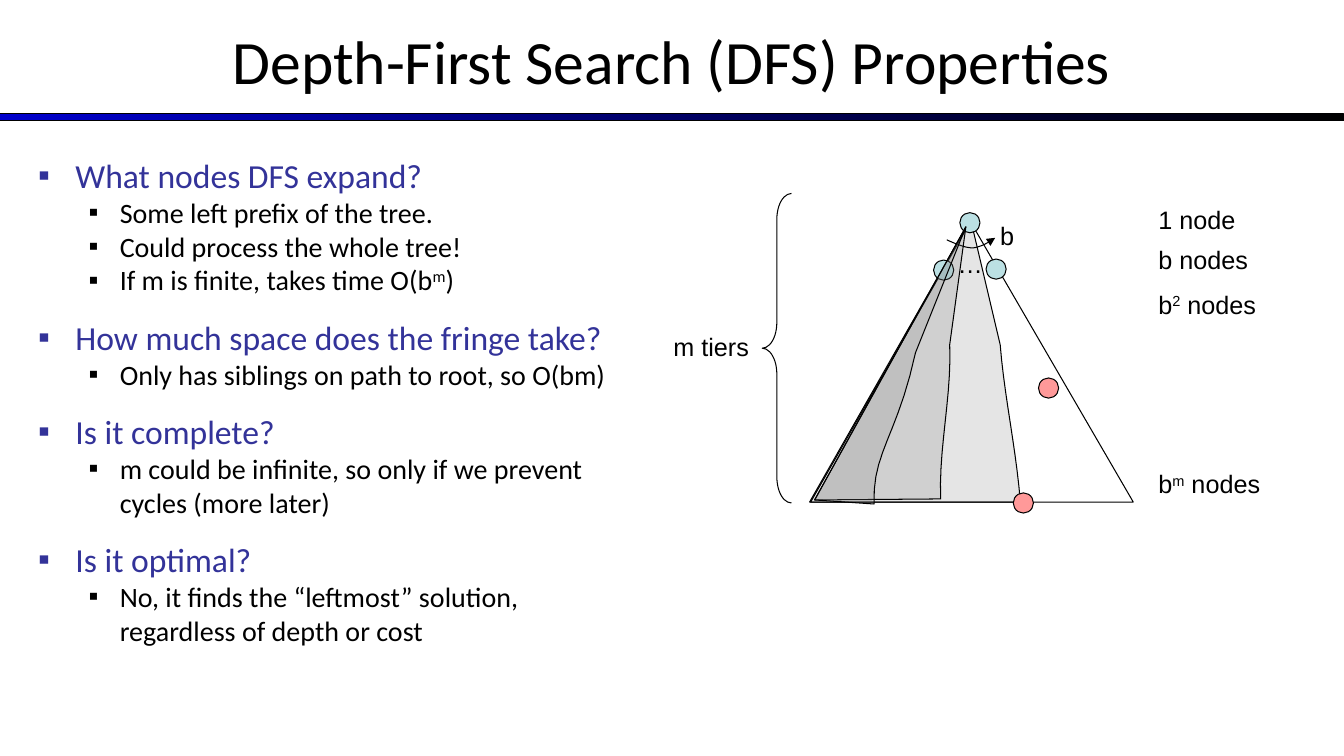
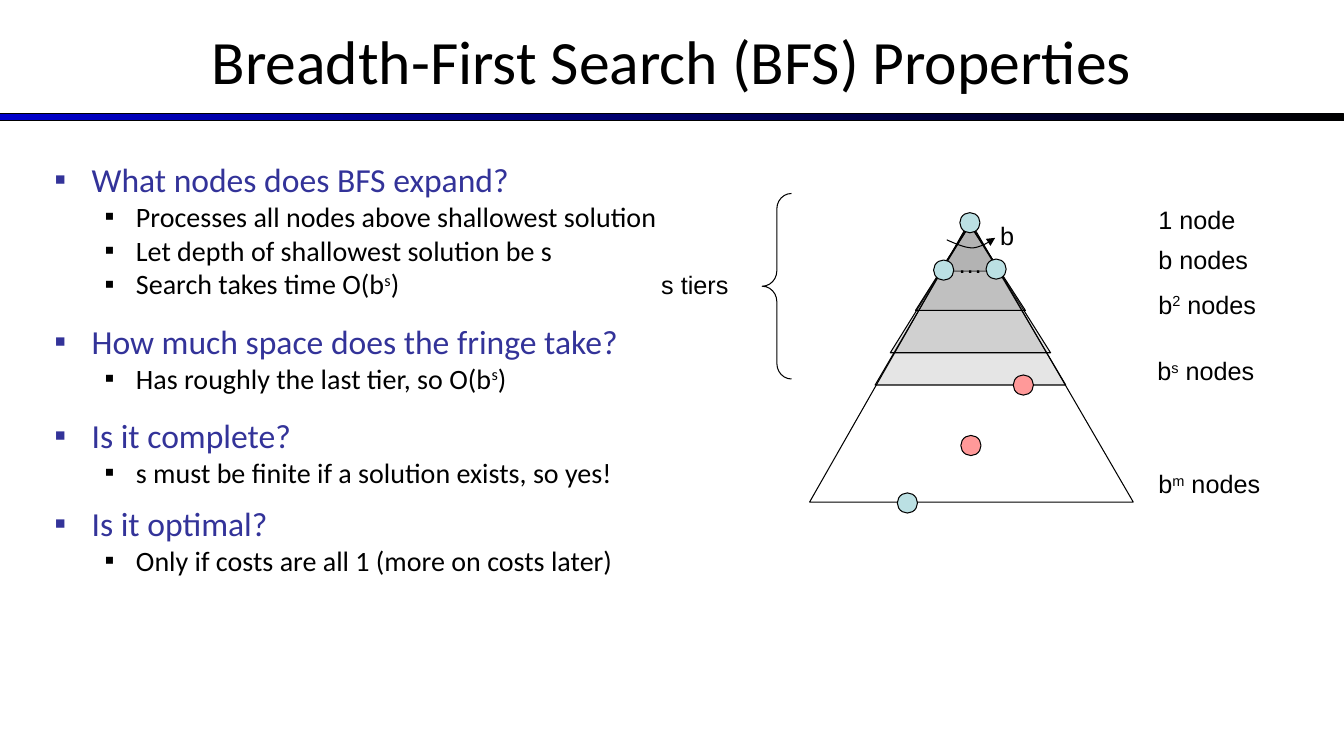
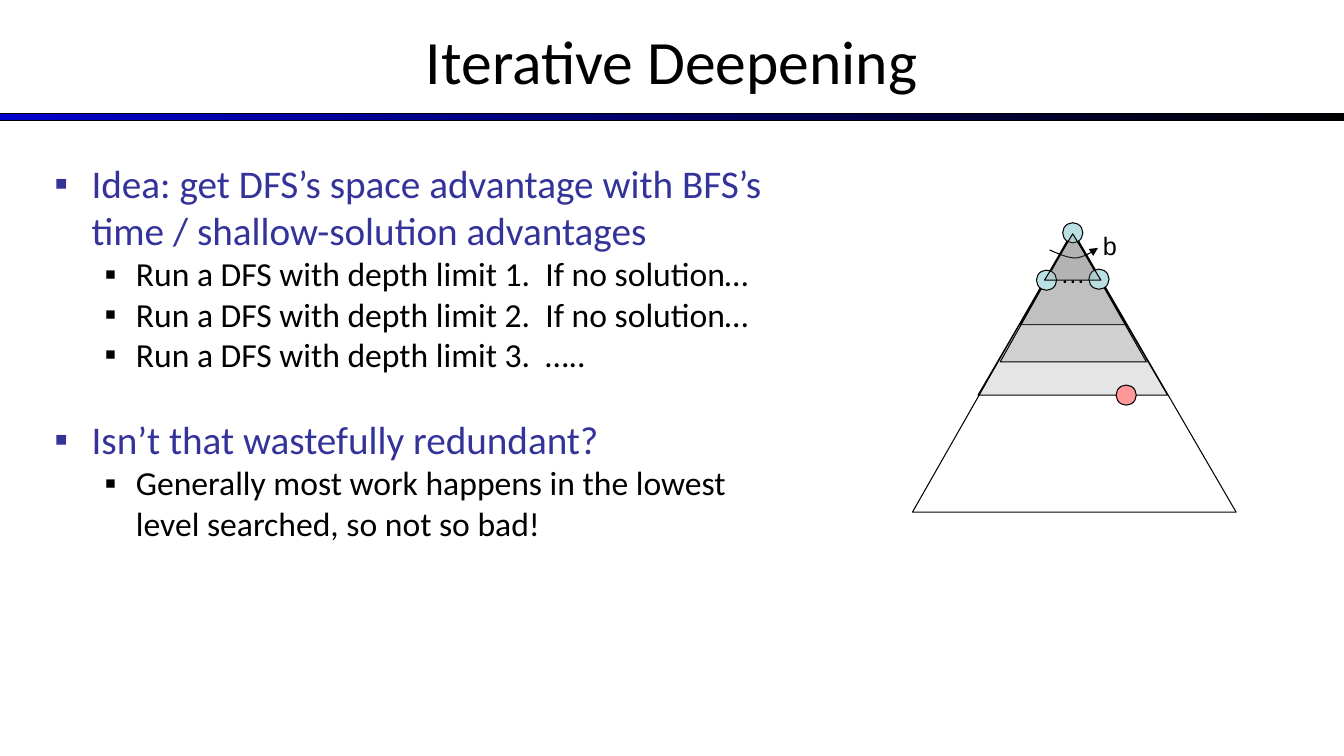
from lxml.etree import SubElement
from pptx import Presentation
from pptx.dml.color import RGBColor
from pptx.enum.shapes import MSO_SHAPE as SHAPE
from pptx.enum.text import MSO_ANCHOR, MSO_AUTO_SIZE, PP_ALIGN
from pptx.oxml.ns import qn
from pptx.util import Inches, Pt

BLACK = RGBColor(0x00, 0x00, 0x00)
BLUE = RGBColor(0x00, 0x00, 0xCC)
INDIGO = RGBColor(0x33, 0x33, 0x99)
GREY = RGBColor(0x80, 0x80, 0x80)
AQUA = RGBColor(0xBB, 0xE0, 0xE3)
PINK = RGBColor(0xFF, 0x99, 0x99)
CURVE_STEPS = 10
NODE_SIZE = 0.2


def write(p, text, font="Arial", size=18, color=BLACK):
    """Add text to a paragraph; the character after each ^ is raised."""
    first, *rest = text.split("^")
    pieces = [(first, False)]
    for part in rest:
        pieces += [(part[0], True), (part[1:], False)]
    for piece, raised in pieces:
        if piece:
            r = p.add_run()
            r.text = piece
            r.font.name, r.font.size = font, Pt(size)
            r.font.color.rgb = color
            if raised:
                r.font._element.set("baseline", "30000")


def bullet(p, margin, hang, color):
    """Give a paragraph a hanging square bullet."""
    pPr = p._p.get_or_add_pPr()
    pPr.set("marL", str(Inches(margin)))
    pPr.set("indent", str(-Inches(hang)))
    clr = SubElement(pPr, qn("a:buClr"))
    SubElement(clr, qn("a:srgbClr"), val=str(color))
    SubElement(pPr, qn("a:buFont"), typeface="Arial")
    SubElement(pPr, qn("a:buChar"), char="▪")


def flatten(points):
    """Turn points and six-number Bézier steps into plain points."""
    flat = [points[0]]
    for point in points[1:]:
        if len(point) == 2:
            flat.append(point)
            continue
        ends = [flat[-1], point[:2], point[2:4], point[4:]]
        for i in range(1, CURVE_STEPS + 1):
            t = i / CURVE_STEPS
            weights = ((1 - t) ** 3, 3 * t * (1 - t) ** 2, 3 * t * t * (1 - t), t ** 3)
            flat.append(tuple(sum(w * e[k] for w, e in zip(weights, ends)) for k in (0, 1)))
    return flat


class Deck:
    """Hold the presentation style and the current slide."""

    def __init__(self):
        """Start an empty wide presentation."""
        self.prs = Presentation()
        self.prs.slide_width, self.prs.slide_height = Inches(13.33), Inches(7.5)
        self.s = None

    def outline(self, sp):
        """Give a shape the thin black line and no shadow."""
        sp.shadow.inherit = False
        sp.line.color.rgb = BLACK
        sp.line.width = Pt(0.75)

    def shape(self, kind, x, y, w, h):
        """Add an outlined preset shape."""
        sp = self.s.shapes.add_shape(kind, Inches(x), Inches(y), Inches(w), Inches(h))
        self.outline(sp)
        return sp

    def slide(self, title):
        """Add a slide with its title and gradient band."""
        self.s = self.prs.slides.add_slide(self.prs.slide_layouts[5])
        band = self.shape(SHAPE.RECTANGLE, 0, 1.13, 13.33, 0.07)
        band.fill.gradient()
        band.fill.gradient_angle = 0
        for stop, color in zip(band.fill.gradient_stops, (BLUE, BLACK)):
            stop.color.rgb = color
        sp = self.s.shapes.title
        sp.left, sp.top, sp.width, sp.height = Inches(0), Inches(-0.03), Inches(13.33), Inches(1.25)
        tf = sp.text_frame
        tf.auto_size = MSO_AUTO_SIZE.NONE
        tf.vertical_anchor = MSO_ANCHOR.MIDDLE
        tf.paragraphs[0].alignment = PP_ALIGN.CENTER
        write(tf.paragraphs[0], title, font="Calibri", size=44)

    def textbox(self, x, y, w, h):
        """Add a wrapping text box and return its frame."""
        tf = self.s.shapes.add_textbox(Inches(x), Inches(y), Inches(w), Inches(h)).text_frame
        tf.word_wrap = True
        return tf

    def label(self, text, x, y, w=1.6):
        """Add a one-line label."""
        write(self.textbox(x, y, w, 0.4).paragraphs[0], text)

    def body(self, x, y, w, blocks, size=24):
        """Add questions with their answers; each block names the space above it."""
        tf = self.textbox(x, y, w, 5.17)
        p = tf.paragraphs[0]
        for gap, question, answers in blocks:
            if gap:
                p = tf.add_paragraph()
            bullet(p, 0.37, 0.37, INDIGO)
            p.space_before = Pt(gap)
            write(p, question, font="Calibri", size=size, color=INDIGO)
            for answer in answers:
                p = tf.add_paragraph()
                p.level = 1
                bullet(p, 0.81, 0.31, BLACK)
                write(p, answer, font="Calibri", size=size - 4)

    def path_shape(self, points, shaded=False, closed=True):
        """Draw an outline of lines and curves, see-through grey if shaded."""
        flat = [(Inches(x), Inches(y)) for x, y in flatten(points)]
        builder = self.s.shapes.build_freeform(*flat[0], scale=1.0)
        builder.add_line_segments(flat[1:], close=closed)
        sp = builder.convert_to_shape()
        self.outline(sp)
        if shaded:
            sp.fill.solid()
            sp.fill.fore_color.rgb = GREY
            clr = sp.fill._xPr.find(".//" + qn("a:srgbClr"))
            SubElement(clr, qn("a:alpha"), val="20000")
        else:
            sp.fill.background()
        return sp

    def triangle(self, apex, left, right, base, shaded=True):
        """Draw a triangle from its apex and the ends of its base."""
        self.path_shape([apex, (left, base), (right, base)], shaded)

    def node(self, x, y, color=AQUA):
        """Draw a round tree node."""
        sp = self.shape(SHAPE.OVAL, x, y, NODE_SIZE, NODE_SIZE)
        sp.fill.solid()
        sp.fill.fore_color.rgb = color

    def tree(self, dx=0, dy=0):
        """Draw the search tree with its top nodes and branching arrow."""
        self.triangle((9.62 + dx, 2.19 + dy), 8.03 + dx, 11.24 + dx, 4.98 + dy, shaded=False)
        for x, y in ((9.52, 2.11), (9.26, 2.58), (9.78, 2.57)):
            self.node(x + dx, y + dy)
        self.label("…", 9.4 + dx, 2.41 + dy, 0.3)
        curves = [(9.39, 2.38), (9.48, 2.42, 9.57, 2.46, 9.65, 2.46), (9.73, 2.45, 9.8, 2.41, 9.87, 2.36)]
        shifted = [tuple(v + (dy if i % 2 else dx) for i, v in enumerate(c)) for c in curves]
        arrow = self.path_shape(shifted, closed=False)
        SubElement(arrow.line._get_or_add_ln(), qn("a:tailEnd"), type="triangle")
        self.label("b", 9.82 + dx, 2.14 + dy, 0.33)

    def tier_sizes(self):
        """Label the tiers with their node counts."""
        for text, y in (("1 node", 1.98), ("b nodes", 2.37), ("b^2 nodes", 2.82), ("b^m nodes", 4.6)):
            self.label(text, 11.39, y)

    def brace(self, h, curl, text, x, y):
        """Draw the brace over the tiers with its label."""
        sp = self.shape(SHAPE.LEFT_BRACE, 7.56, 1.92, 0.29, h)
        sp.fill.background()
        sp.adjustments[0] = curl
        self.label(text, x, y, 1.38)


def depth_first(deck):
    """Build the depth-first slide."""
    deck.slide("Depth-First Search (DFS) Properties")
    deck.path_shape([(8.04, 4.98), (10.12, 4.98), (10.08, 4.46, 9.96, 3.93, 9.92, 3.42), (9.63, 2.19)], True)
    deck.tree()
    deck.tier_sizes()
    deck.node(10.05, 4.89, PINK)
    deck.brace(3.07, 0.884, "m tiers", 6.58, 3.24)
    deck.body(0.28, 1.49, 5.97, [
        (0, "What nodes DFS expand?", [
            "Some left prefix of the tree.",
            "Could process the whole tree!",
            "If m is finite, takes time O(b^m)"]),
        (14.6, "How much space does the fringe take?", [
            "Only has siblings on path to root, so O(bm)"]),
        (14.6, "Is it complete?", [
            "m could be infinite, so only if we prevent cycles (more later)"]),
        (14.6, "Is it optimal?", [
            "No, it finds the “leftmost” solution, regardless of depth or cost"]),
    ])
    for right_edge in (
        [(9.33, 4.95), (9.31, 4.44, 9.44, 3.93, 9.42, 3.42)],
        [(8.67, 5), (8.65, 4.49, 8.9, 4.33, 9.08, 3.5)],
    ):
        deck.path_shape([(8.08, 4.96), *right_edge, (9.58, 2.25)], True)
    deck.node(10.3, 3.75, PINK)


def breadth_first(deck):
    """Build the breadth-first slide."""
    deck.slide("Breadth-First Search (BFS) Properties")
    for top, left, right, base in (
        (2.23, 9.32, 9.92, 2.69), (2.21, 8.68, 10.57, 3.82),
        (2.23, 8.83, 10.42, 3.5), (2.23, 9.08, 10.17, 3.08),
    ):
        deck.triangle((9.62, top), left, right, base)
    deck.body(0.44, 1.53, 6.22, [
        (0, "What nodes does BFS expand?", [
            "Processes all nodes above shallowest solution",
            "Let depth of shallowest solution be s",
            "Search takes time O(b^s)"]),
        (14.6, "How much space does the fringe take?", [
            "Has roughly the last tier, so O(b^s)"]),
        (14.6, "Is it complete?", [
            "s must be finite if a solution exists, so yes!"]),
        (9.8, "Is it optimal?", [
            "Only if costs are all 1 (more on costs later)"]),
    ])
    deck.tree()
    deck.tier_sizes()
    deck.node(8.9, 4.89)
    deck.node(10.05, 3.72, PINK)
    deck.node(9.53, 4.32, PINK)
    deck.brace(1.84, 0.529, "s tiers", 6.46, 2.62)
    deck.label("b^s nodes", 11.38, 3.48)


def iterative_deepening(deck):
    """Build the iterative deepening slide."""
    deck.slide("Iterative Deepening")
    for left, right, base in ((10.12, 11.17, 3.22), (9.7, 11.58, 3.92), (9.92, 11.37, 3.59)):
        deck.triangle((10.64, 2.31), left, right, base)
    deck.tree(1.02, 0.1)
    deck.node(11.07, 3.82, PINK)
    deck.triangle((10.64, 2.32), 10.36, 10.92, 2.78)
    deck.body(0.44, 1.53, 7.56, [
        (0, "Idea: get DFS’s space advantage with BFS’s time / shallow-solution advantages", [
            "Run a DFS with depth limit 1.  If no solution…",
            "Run a DFS with depth limit 2.  If no solution…",
            "Run a DFS with depth limit 3.  ….."]),
        (29.3, "Isn’t that wastefully redundant?", [
            "Generally most work happens in the lowest level searched, so not so bad!"]),
    ], size=28)


def main():
    """Build and save the presentation."""
    deck = Deck()
    depth_first(deck)
    breadth_first(deck)
    iterative_deepening(deck)
    deck.prs.save("out.pptx")


if __name__ == "__main__":
    main()
